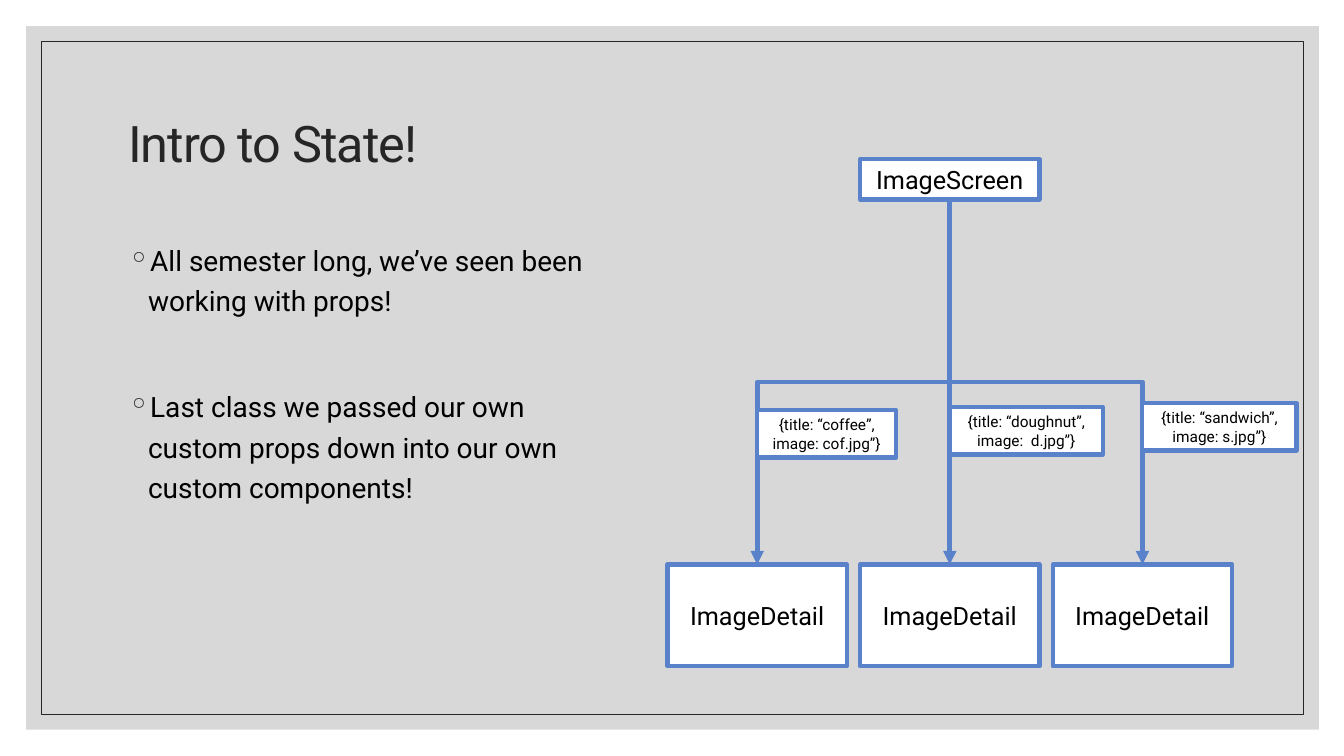
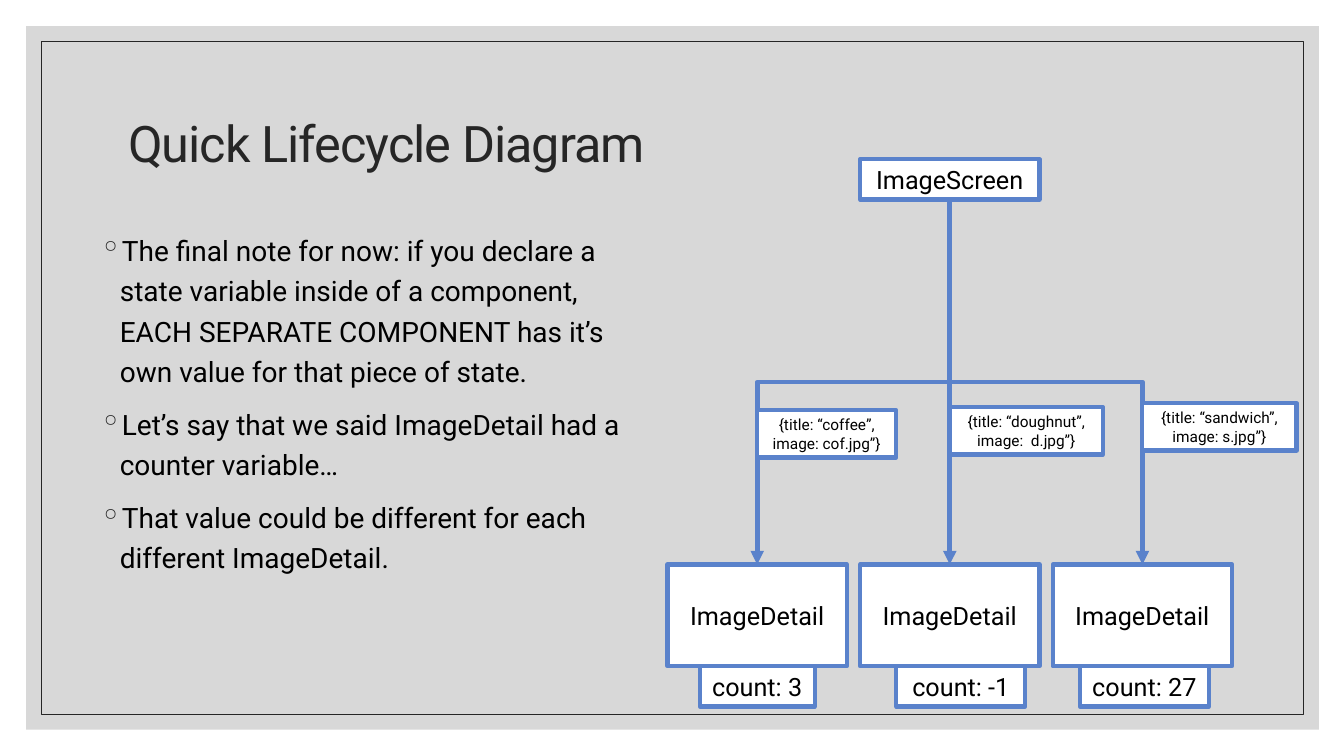
from lxml import etree
from pptx import Presentation
from pptx.dml.color import RGBColor
from pptx.enum.shapes import MSO_CONNECTOR, MSO_SHAPE
from pptx.enum.text import MSO_ANCHOR, MSO_AUTO_SIZE, PP_ALIGN
from pptx.oxml.ns import qn
from pptx.util import Inches, Pt

RECT = MSO_SHAPE.RECTANGLE
ELBOW, STRAIGHT = MSO_CONNECTOR.ELBOW, MSO_CONNECTOR.STRAIGHT
TOP, MIDDLE = MSO_ANCHOR.TOP, MSO_ANCHOR.MIDDLE
LEFT, CENTER = PP_ALIGN.LEFT, PP_ALIGN.CENTER
FIXED = MSO_AUTO_SIZE.NONE

BLACK = RGBColor(0x00, 0x00, 0x00)
WHITE = RGBColor(0xFF, 0xFF, 0xFF)
DARK = RGBColor(0x26, 0x26, 0x26)
GRAY = RGBColor(0xBF, 0xBF, 0xBF)
BLUE = RGBColor(0x5A, 0x82, 0xCB)
FONT = "Roboto"

# Diagram grid, in inches
BOX_W, BOX_H, BOX_TOP = 1.78, 1.01, 5.6
BOX_LEFT, STEP = 6.62, 1.91
ROOT_TOP, ROW_H = 1.58, 0.4

LABELS = [
    (1.38, 4.07, ["{title: “coffee”,", "image: cof.jpg”}"]),
    (1.52, 4.04, ["{title: “doughnut”,", "image:  d.jpg”}"]),
    (1.53, 4.0, ["{title: “sandwich”,", "image: s.jpg”}"]),
]
SLIDES = [
    {
        "title": "Intro to State!",
        "body": [
            "All semester long, we’ve seen been working with props!",
            "Last class we passed our own custom props down into our own "
            "custom components!",
        ],
        "area": (1.17, 2.3, 5.08, 4.21),
        "gap": 47,
        "counts": [],
    },
    {
        "title": "Quick Lifecycle Diagram",
        "body": [
            "The final note for now: if you declare a state variable inside "
            "of a component, EACH SEPARATE COMPONENT has it’s own value for "
            "that piece of state.",
            "Let’s say that we said ImageDetail had a counter variable…",
            "That value could be different for each different ImageDetail.",
        ],
        "area": (0.89, 2.2, 5.6, 4.21),
        "gap": 9,
        "counts": [(6.94, 1.14, "count: 3"), (8.89, 1.28, "count: -1"),
                   (10.71, 1.28, "count: 27")],
    },
]


def write(shape, lines, size=18, color=BLACK, align=CENTER, anchor=MIDDLE,
          line=1.0, gap=0, bullet=None, track=0):
    """Fill a shape with one paragraph per line; gap and track are in points."""
    frame = shape.text_frame
    frame.word_wrap = True
    frame.auto_size = FIXED
    frame.vertical_anchor = anchor
    for i, text in enumerate(lines):
        para = frame.add_paragraph() if i else frame.paragraphs[0]
        if bullet:
            props = para._p.get_or_add_pPr()
            props.set("marL", str(Inches(0.2)))
            props.set("indent", str(-Inches(0.2)))
            tint = etree.SubElement(props, qn("a:buClr"))
            etree.SubElement(tint, qn("a:srgbClr"), val=str(DARK))
            etree.SubElement(props, qn("a:buChar"), char=bullet)
        para.alignment = align
        para.line_spacing = line
        para.space_before = Pt(gap if i else 0)
        run = para.add_run()
        run.text = text
        run.font.name = FONT
        run.font.size = Pt(size)
        run.font.color.rgb = color
        if track:
            run._r.get_or_add_rPr().set("spc", str(round(track * 100)))


def panel(slide, area, fill=WHITE, edge=BLUE, width=3):
    """Add a rectangle; a fill or edge of None is left out."""
    shape = slide.shapes.add_shape(RECT, *map(Inches, area))
    shape.shadow.inherit = False
    if fill is None:
        shape.fill.background()
    else:
        shape.fill.solid()
        shape.fill.fore_color.rgb = fill
    if edge is None:
        shape.line.fill.background()
    else:
        shape.line.color.rgb = edge
        shape.line.width = Pt(width)
    return shape


deck = Presentation()
deck.slide_width, deck.slide_height = Inches(13.33), Inches(7.5)
layout = deck.slide_layouts[5]
pages = [deck.slides.add_slide(layout) for _ in SLIDES]

# Gray band and thin frame, shared through the slide master
band = panel(pages[0], (0.26, 0.26, 12.82, 6.98), fill=GRAY, edge=None)
shade = band._element.spPr.find(qn("a:solidFill")).find(qn("a:srgbClr"))
etree.SubElement(shade, qn("a:alpha"), val="60000")
frame = panel(pages[0], (0.41, 0.41, 12.52, 6.68), fill=None, edge=DARK, width=0.5)
for i, part in enumerate((band, frame)):
    part._element.nvSpPr.cNvPr.set("id", str(20 + i))
    deck.slide_master.shapes._spTree.insert(2 + i, part._element)

for page, data in zip(pages, SLIDES):
    title = page.shapes.title
    title.left, title.top = Inches(1.17), Inches(0.7)
    title.width, title.height = Inches(11), Inches(1.5)
    write(title, [data["title"]], size=36, color=DARK, align=LEFT, line=0.9,
          track=-0.7)

    body = page.shapes.add_textbox(*map(Inches, data["area"]))
    write(body, data["body"], size=20, align=LEFT, anchor=TOP, line=1.2,
          gap=data["gap"], bullet="◦")

    root = panel(page, (BOX_LEFT + STEP, ROOT_TOP, BOX_W, ROW_H))
    write(root, ["ImageScreen"])
    boxes = []
    for i in range(len(LABELS)):
        box = panel(page, (BOX_LEFT + i * STEP, BOX_TOP, BOX_W, BOX_H))
        write(box, ["ImageDetail"])
        boxes.append(box)

    for box in boxes:
        shift = box.left - root.left
        link = page.shapes.add_connector(ELBOW if shift else STRAIGHT, 0, 0, 0, 0)
        link.begin_connect(root, 2)
        link.end_connect(box, 0)
        if shift:
            # Turn the elbow so that it leaves and arrives vertically
            mid_x = link.left + link.width // 2
            mid_y = link.top + link.height // 2
            link.width, link.height = link.height, link.width
            link.left = mid_x - link.width // 2
            link.top = mid_y - link.height // 2
            turn = link._element.spPr.find(qn("a:xfrm"))
            turn.set("rot", str((90 if shift < 0 else 270) * 60000))
            turn.set("flipH", "0" if shift < 0 else "1")
        link.line.color.rgb = BLUE
        link.line.width = Pt(3.25)
        etree.SubElement(link.line._get_or_add_ln(), qn("a:tailEnd"), type="triangle")
        etree.SubElement(link._element.spPr, qn("a:effectLst"))

    for i, (wide, top, lines) in enumerate(LABELS):
        stem = BOX_LEFT + i * STEP + BOX_W / 2
        write(panel(page, (stem, top, wide, 0.47)), lines, size=11)

    for left, wide, text in data["counts"]:
        write(panel(page, (left, BOX_TOP + BOX_H, wide, ROW_H)), [text])

deck.save("out.pptx")
